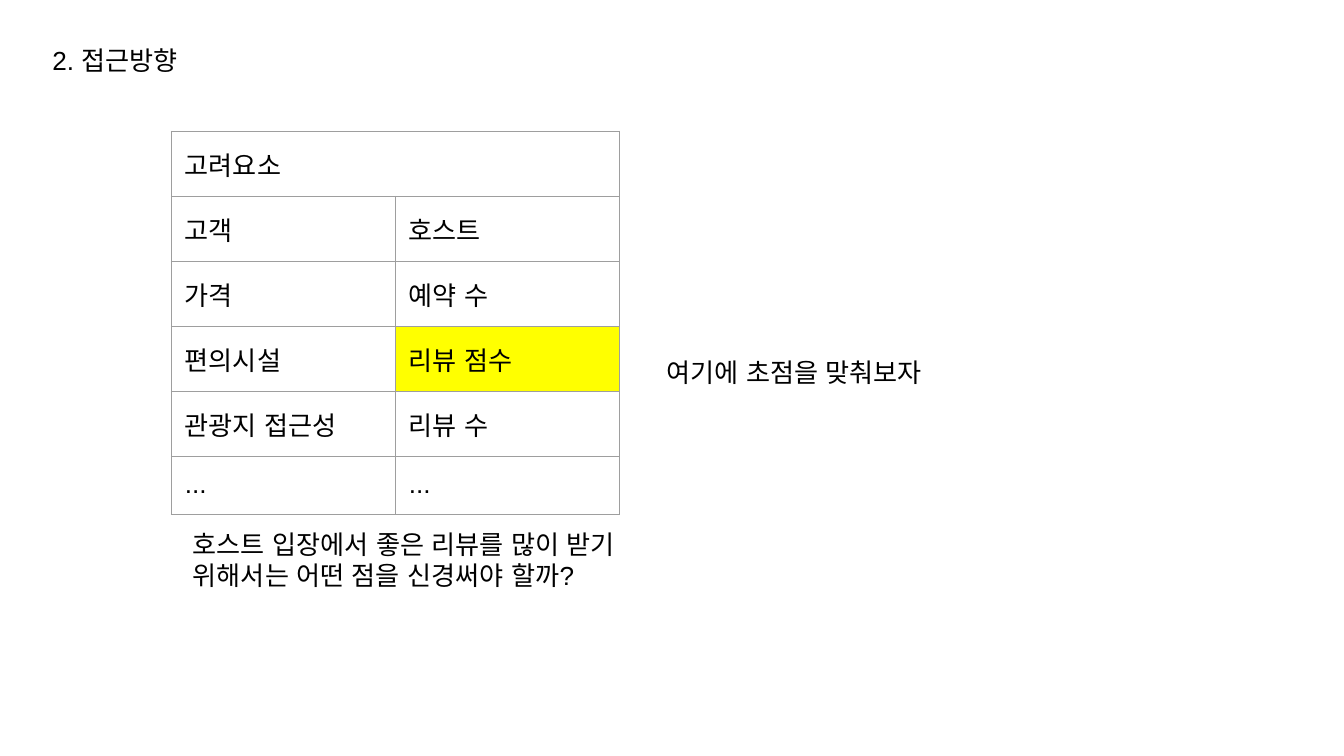
import pptx
import pptx.util
import pptx.dml.color
import pptx.enum.lang
import pptx.enum.text
import pptx.oxml
import pptx.oxml.ns

Pt = pptx.util.Pt
hues = {"ink": "000000", "rule": "9E9E9E", "mark": "FFFF00"}
pad = Pt(7.2)


def write(frame, text):
    run = frame.paragraphs[0].add_run()
    run.text = text
    font = run.font
    font.name = "Arial"
    font.size = Pt(14)
    font.bold = False
    font.language_id = pptx.enum.lang.MSO_LANGUAGE_ID.KOREAN
    font.color.rgb = pptx.dml.color.RGBColor.from_string(hues["ink"])


def border(cell):
    props = cell._tc.get_or_add_tcPr()
    for spot, side in enumerate(("lnL", "lnR", "lnT", "lnB")):
        line = pptx.oxml.parse_xml(
            f'<a:{side} {pptx.oxml.ns.nsdecls("a")} w="{Pt(0.75)}">'
            f'<a:solidFill><a:srgbClr val="{hues["rule"]}"/></a:solidFill>'
            f'<a:prstDash val="solid"/></a:{side}>')
        props.insert(spot, line)


deck = pptx.Presentation()
deck.slide_width = Pt(720)
deck.slide_height = Pt(405)
slide = deck.slides.add_slide(deck.slide_layouts[6])

rows = [
    ("고려요소", ""),
    ("고객", "호스트"),
    ("가격", "예약 수"),
    ("편의시설", "리뷰 점수"),
    ("관광지 접근성", "리뷰 수"),
    ("...", "..."),
]
high = 31.2
wide = 120
focus = "리뷰 점수"
grid = slide.shapes.add_table(
    len(rows), 2, Pt(91.8), Pt(70.4), Pt(2 * wide), Pt(len(rows) * high)).table
grid.first_row = False
grid.horz_banding = False
for col in grid.columns:
    col.width = Pt(wide)
for r, row in enumerate(rows):
    grid.rows[r].height = Pt(high)
    for c, text in enumerate(row):
        cell = grid.cell(r, c)
        cell.margin_left = cell.margin_right = pad
        cell.margin_top = cell.margin_bottom = pad
        if text == focus:
            cell.fill.solid()
            cell.fill.fore_color.rgb = pptx.dml.color.RGBColor.from_string(hues["mark"])
        else:
            cell.fill.background()
        border(cell)
        if text:
            write(cell.text_frame, text)
grid.cell(0, 0).merge(grid.cell(0, 1))

notes = [
    (21, 16.6, 374.4, 31.7, "2. 접근방향"),
    (350, 183.6, 248.4, 31.7, "여기에 초점을 맞춰보자"),
    (96.2, 275.8, 248.4, 65.5, "호스트 입장에서 좋은 리뷰를 많이 받기 위해서는 어떤 점을 신경써야 할까?"),
]
for x, y, w, h, text in notes:
    frame = slide.shapes.add_textbox(Pt(x), Pt(y), Pt(w), Pt(h)).text_frame
    frame.word_wrap = True
    frame.auto_size = pptx.enum.text.MSO_AUTO_SIZE.SHAPE_TO_FIT_TEXT
    frame.margin_left = frame.margin_right = pad
    frame.margin_top = frame.margin_bottom = pad
    write(frame, text)

deck.save("out.pptx")
